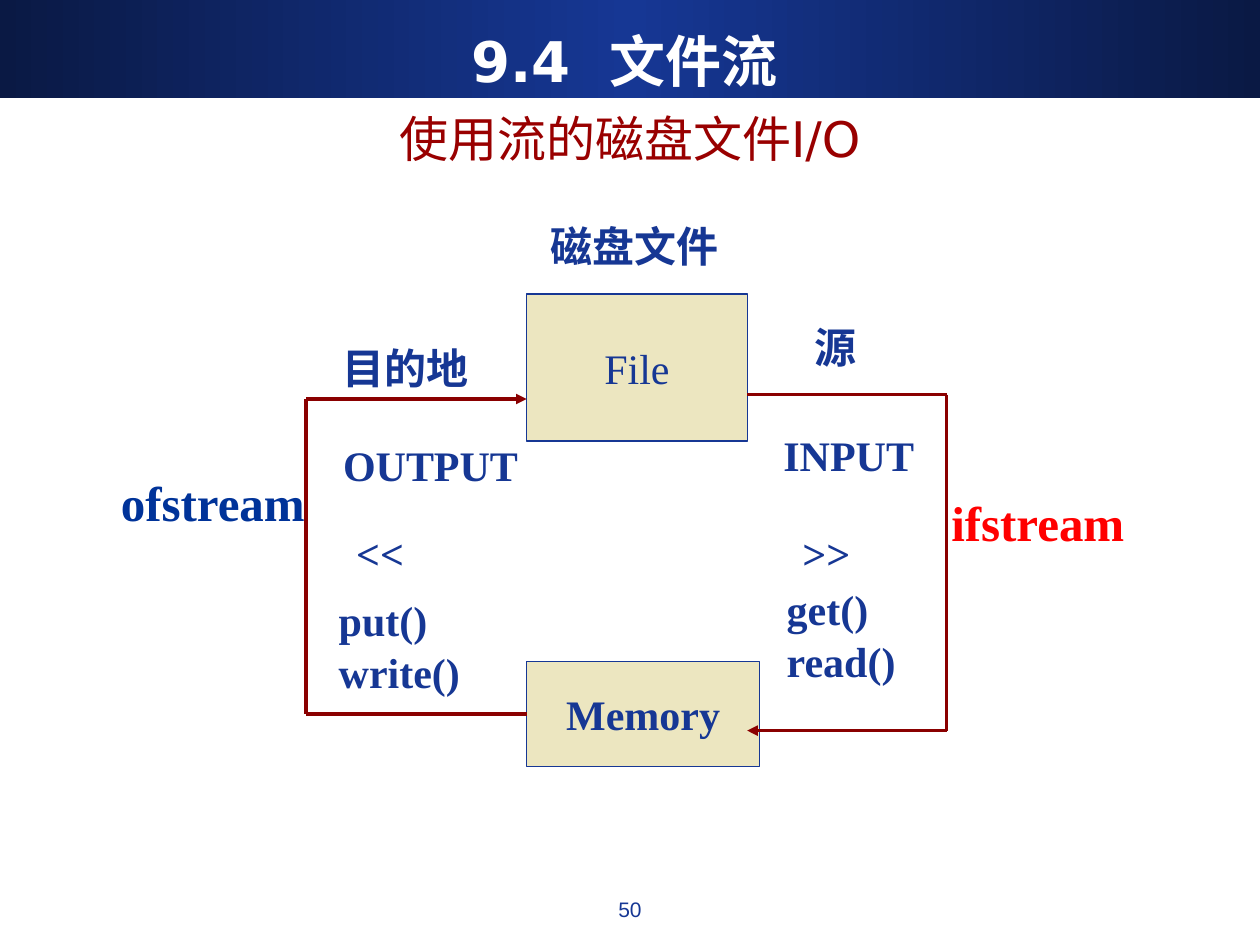
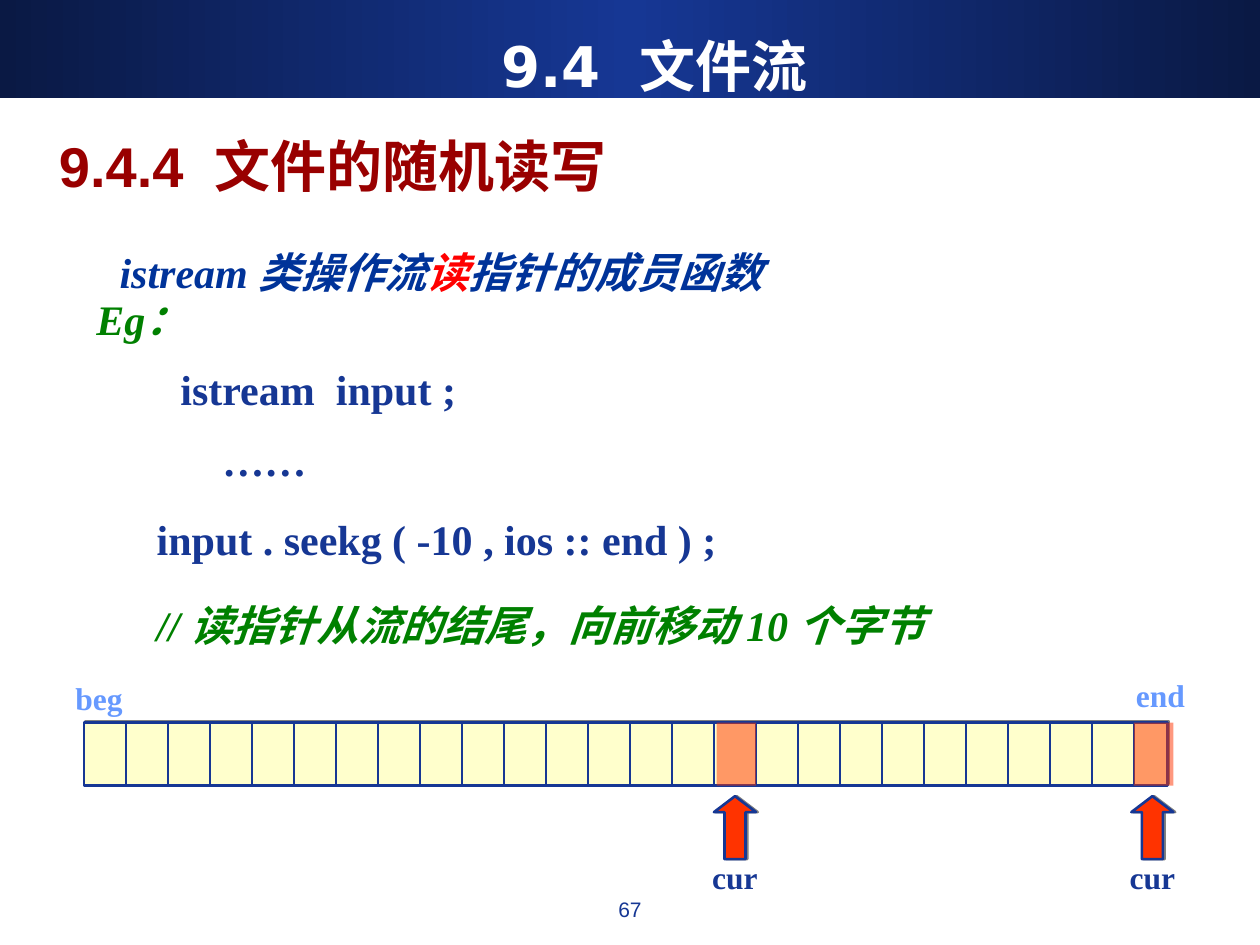
import copy
import itertools
from dataclasses import dataclass

import pptx
import pptx.dml.color
import pptx.enum.shapes
import pptx.enum.text
import pptx.oxml.ns
import pptx.util

Pt = pptx.util.Pt
Kind = pptx.enum.shapes.MSO_SHAPE
Align = pptx.enum.text.PP_ALIGN
Anchor = pptx.enum.text.MSO_ANCHOR
qn = pptx.oxml.ns.qn


@dataclass(frozen=True)
class Theme:
    navy: str = "163794"
    dark: str = "0A1944"
    blue: str = "003399"
    sky: str = "6699FF"
    white: str = "FFFFFF"
    title: str = "990000"
    wire: str = "8A0000"
    red: str = "FF0000"
    mark: str = "FF3300"
    green: str = "008000"
    sand: str = "ECE6C0"
    cream: str = "FFFFCC"
    gray: str = "808080"
    serif: str = "Times New Roman"
    sans: str = "Arial"
    head: str = "DejaVu Sans"
    tiny: int = 12
    small: int = 18
    body: int = 24
    large: int = 28
    huge: int = 32


def rgb(code):
    return pptx.dml.color.RGBColor.from_string(code)


def node(host, tag, **attrs):
    item = host.makeelement(qn(tag), attrs)
    host.append(item)
    return item


class Deck:
    def __init__(self, theme):
        self.theme = theme
        self.file = pptx.Presentation()
        self.file.slide_width = Pt(720)
        self.file.slide_height = Pt(540)
        self.slide = None

    def page(self, number, left, top):
        t = self.theme
        self.slide = self.file.slides.add_slide(self.file.slide_layouts[5])
        self.band()
        frame = self.text("9.4  文件流", (left, top, 666, 44.6), size=t.huge,
                          color=t.white, font=t.head, align=Align.CENTER)
        frame.vertical_anchor = Anchor.MIDDLE
        self.text(number, (276, 509, 168, 25), size=t.tiny, font=t.sans,
                  bold=False, align=Align.CENTER)

    def band(self):
        t = self.theme
        band = self.shape(Kind.RECTANGLE, (0, 0, 720, 56), t.navy)
        band.fill.gradient()
        band.fill.gradient_angle = 0
        stops = next(band._element.iter(qn("a:gsLst")))
        stops.append(copy.deepcopy(stops[0]))
        hues = (t.dark, t.navy, t.dark)
        for index, (stop, hue) in enumerate(zip(band.fill.gradient_stops, hues)):
            stop.position = index / 2
            stop.color.rgb = rgb(hue)

    def title(self, words, area, anchor, **look):
        box = self.slide.shapes.title
        box.left, box.top, box.width, box.height = map(Pt, area)
        frame = box.text_frame
        frame.word_wrap = True
        frame.auto_size = pptx.enum.text.MSO_AUTO_SIZE.NONE
        frame.vertical_anchor = anchor
        frame.text = words
        self.style(frame.paragraphs[0], color=self.theme.title, **look)

    def style(self, par, size=None, color=None, font=None, bold=True,
              ital=False, align=Align.LEFT, lead=None, dent=0):
        t = self.theme
        par.alignment = align
        if lead:
            par.line_spacing = lead
        if dent:
            props = par._p.get_or_add_pPr()
            props.set("marL", str(Pt(dent)))
            props.set("indent", "0")
        for run in par.runs:
            run.font.size = Pt(size or t.body)
            run.font.name = font or t.serif
            run.font.bold = bold
            run.font.italic = ital
            run.font.color.rgb = rgb(color or t.navy)

    def text(self, words, area, **look):
        frame = self.slide.shapes.add_textbox(*map(Pt, area)).text_frame
        frame.word_wrap = True
        frame.text = words
        self.style(frame.paragraphs[0], **look)
        return frame

    def more(self, frame, words, **look):
        par = frame.add_paragraph()
        par.text = words
        self.style(par, **look)

    def shape(self, kind, area, fill, line=None, width=0.75, shade=None, clear=None):
        item = self.slide.shapes.add_shape(kind, *map(Pt, area))
        item.shadow.inherit = False
        item.fill.solid()
        item.fill.fore_color.rgb = rgb(fill)
        if line:
            item.line.color.rgb = rgb(line)
            item.line.width = Pt(width)
        else:
            item.line.fill.background()
        if clear:
            hue = next(item._element.spPr.iter(qn("a:srgbClr")))
            node(hue, "a:alpha", val=str(clear * 1000))
        if shade:
            gap, turn = shade
            cast = node(item._element.spPr.find(qn("a:effectLst")), "a:outerShdw",
                        dist=str(Pt(gap)), dir=str(turn * 60000), algn="ctr", rotWithShape="0")
            node(cast, "a:srgbClr", val=self.theme.gray)
        return item

    def block(self, words, area, bold):
        t = self.theme
        item = self.shape(Kind.FLOWCHART_PROCESS, area, t.sand, t.navy)
        frame = item.text_frame
        frame.word_wrap = False
        frame.vertical_anchor = Anchor.MIDDLE
        frame.text = words
        self.style(frame.paragraphs[0], bold=bold, align=Align.CENTER)
        return item

    def line(self, start, end, color, width, arrow=False):
        item = self.slide.shapes.add_connector(
            pptx.enum.shapes.MSO_CONNECTOR.STRAIGHT, *map(Pt, start + end))
        item.line.color.rgb = rgb(color)
        item.line.width = Pt(width)
        props = item._element.spPr
        if arrow:
            node(props.find(qn("a:ln")), "a:tailEnd", type="triangle")
        node(props, "a:effectLst")
        return item

    def route(self, points):
        return [self.line(a, b, self.theme.wire, 2, arrow=b == points[-1])
                for a, b in itertools.pairwise(points)]

    def cursor(self, left):
        t = self.theme
        arrow = self.shape(Kind.UP_ARROW, (left, 455, 24, 36), t.mark, t.navy, 1.5, shade=(1, 0))
        arrow.adjustments[1] = 0.38
        self.shape(Kind.RECTANGLE, (left + 1.5, 413, 22.5, 36), t.mark, clear=50)
        self.text("cur", (left - 18, 491, 60, 24.5), size=t.small,
                  align=Align.CENTER, lead=0.8)


def flow(deck):
    t = deck.theme
    deck.page("50", 24, 12)
    deck.title("使用流的磁盘文件I/O", (45, 4, 630, 95.5), Anchor.BOTTOM, size=t.large,
               font=t.head, bold=False, align=Align.CENTER)

    deck.block("File", (301, 168, 126, 84), False)
    memory = deck.block("Memory", (301, 378, 133, 60), True)
    output = deck.route([(301, 408), (175, 408), (175, 228), (301, 228)])
    output[0].begin_connect(memory, 1)
    deck.route([(427, 225.5), (541, 225.5), (541, 417.5), (427, 417.5)])

    deck.text("ifstream", (456.5, 287, 193, 31), size=t.large, color=t.red,
              align=Align.RIGHT, lead=0.7)
    deck.text("ofstream", (62, 275.5, 303, 31), size=t.large, color=t.blue, lead=0.7)
    heads = (("磁盘文件", 305.5, 122.5, 114), ("目的地", 175, 192, 114),
             ("源", 420.5, 180, 114), ("INPUT", 428, 242, 114),
             ("OUTPUT", 178.5, 247.5, 135))
    for words, left, top, width in heads:
        deck.text(words, (left, top, width, 36), align=Align.CENTER)
    calls = ((">>", 451.5, 298), ("get()", 442.5, 330), ("read()", 442.5, 359.5),
             ("<<", 196.5, 298), ("put()", 186.5, 336), ("write()", 186.5, 366))
    for words, left, top in calls:
        deck.text(words, (left, top, 150, 36))


def seek(deck):
    t = deck.theme
    deck.page("67", 41, 15)
    deck.title("9.4.4  文件的随机读写", (26.5, 71.5, 360, 46), Anchor.MIDDLE,
               size=t.huge, font=t.sans)

    frame = deck.text("istream 类操作流", (42, 111.5, 420, 62))
    par = frame.paragraphs[0]
    for words in ("读", "指针的成员函数"):
        par.add_run().text = words
    deck.style(par, color=t.blue, ital=True, align=Align.CENTER, lead=1.9)
    par.runs[1].font.color.rgb = rgb(t.red)

    frame = deck.text("Eg：", (48, 152.5, 240, 128), color=t.green, ital=True, lead=1.4)
    deck.more(frame, "istream  input ;", lead=1.4, dent=48)
    deck.more(frame, "……", lead=1.4, dent=72)
    frame = deck.text("input . seekg ( -10 , ios :: end ) ;", (82.5, 258.5, 520, 116.5),
                      lead=2.1)
    deck.more(frame, "// 读指针从流的结尾，向前移动 10 个字节", color=t.green,
              ital=True, lead=1.7)

    deck.shape(Kind.RECTANGLE, (48, 413, 619, 36), t.cream, t.navy, 1.5, shade=(1.4, 315))
    for left in range(72, 649, 24):
        deck.line((left, 413), (left, 449), t.navy, 1.5)
    for words, left, top in (("beg", 36, 384.5), ("end", 642, 383)):
        deck.text(words, (left, top, 48, 29), size=t.small, color=t.sky)
    for left in (408, 646.5):
        deck.cursor(left)


def main():
    deck = Deck(Theme())
    flow(deck)
    seek(deck)
    deck.file.save("out.pptx")


if __name__ == "__main__":
    main()
